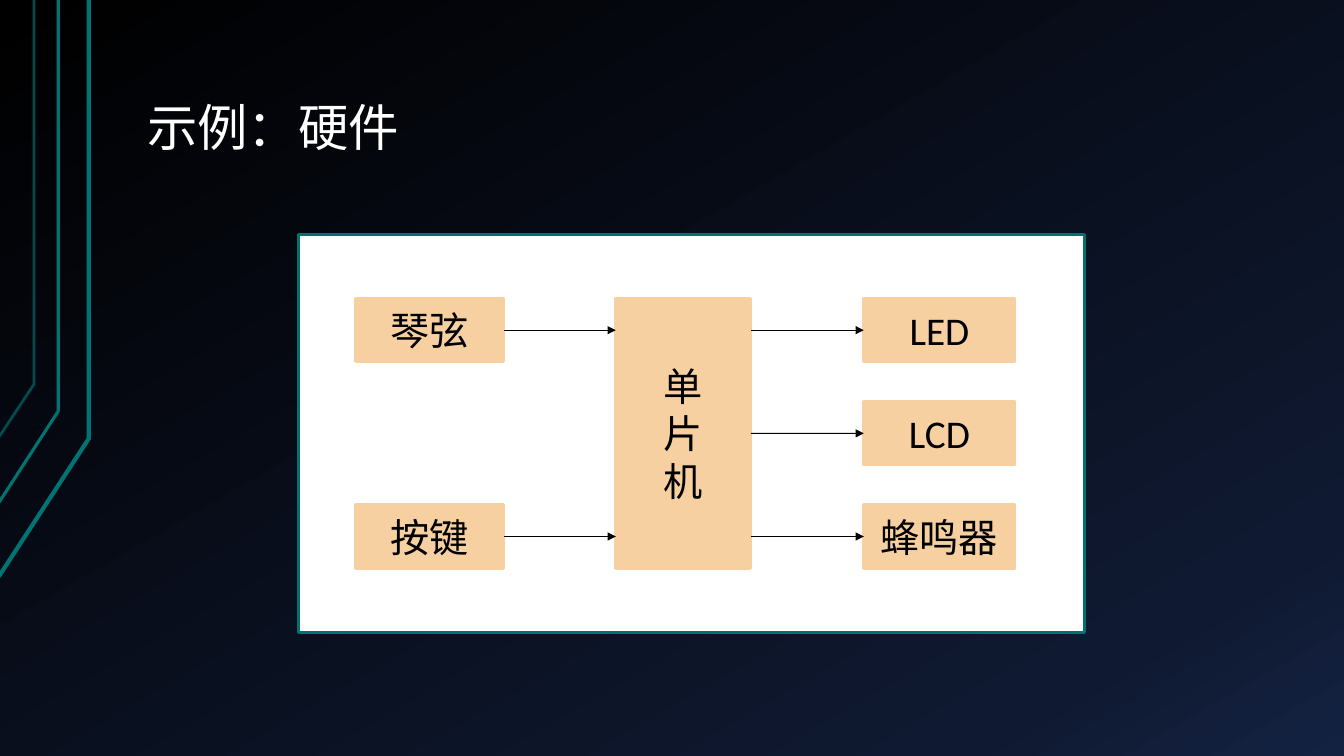
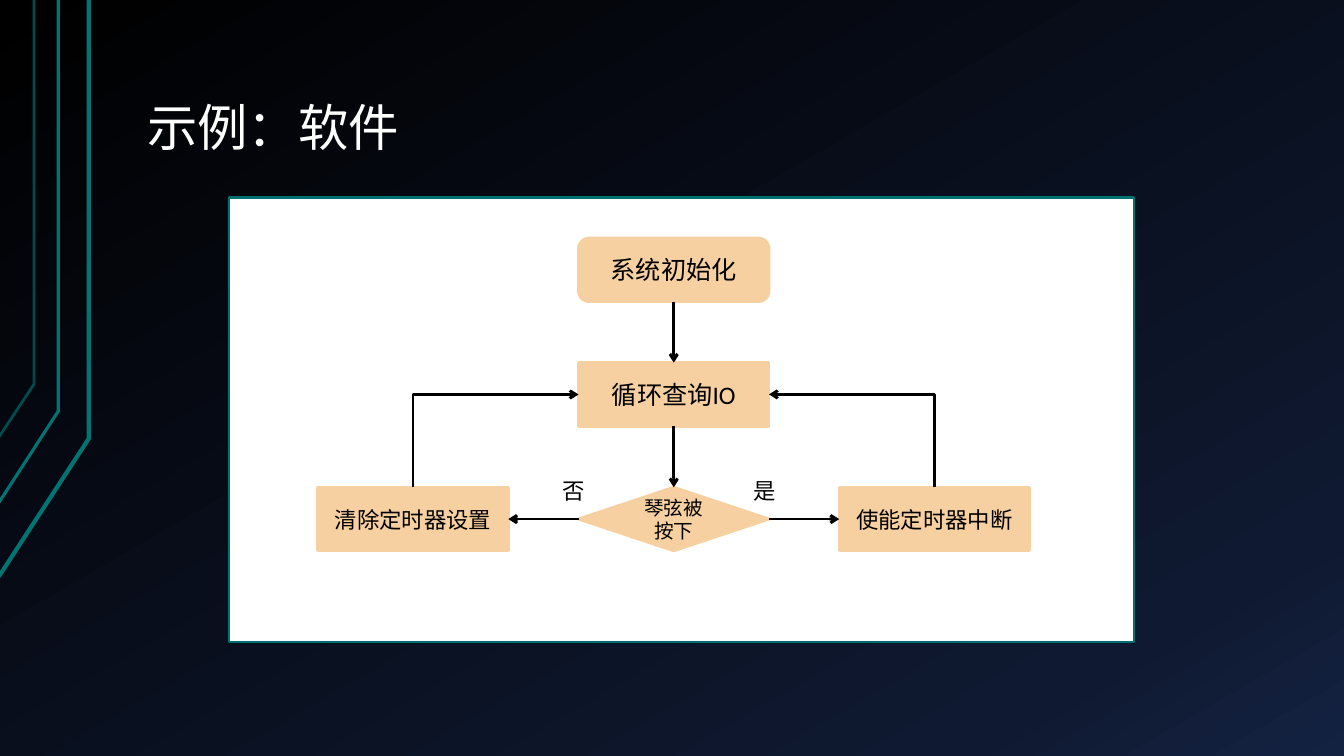
from copy import deepcopy

from lxml import etree
from pptx import Presentation
from pptx.dml.color import RGBColor
from pptx.enum.shapes import MSO_CONNECTOR, MSO_SHAPE
from pptx.enum.text import MSO_ANCHOR, PP_ALIGN
from pptx.oxml.ns import qn
from pptx.util import Cm, Pt

STRAIGHT, ELBOW = MSO_CONNECTOR.STRAIGHT, MSO_CONNECTOR.ELBOW
RECT, ROUNDED, DIAMOND = MSO_SHAPE.RECTANGLE, MSO_SHAPE.ROUNDED_RECTANGLE, MSO_SHAPE.DIAMOND
CENTER, LEFT_ALIGN = PP_ALIGN.CENTER, PP_ALIGN.LEFT
BOTTOM_ANCHOR, MIDDLE_ANCHOR, TOP_ANCHOR = MSO_ANCHOR.BOTTOM, MSO_ANCHOR.MIDDLE, MSO_ANCHOR.TOP
TOP, LEFT, BOTTOM, RIGHT = range(4)

COLORS = {
    "night": "000000",
    "navy": "0F1931",
    "blue": "142242",
    "rail": "007373",
    "dim_rail": "004B4B",
    "border": "007171",
    "panel": "FFFFFF",
    "node": "F7D0A1",
    "text": "000000",
    "title": "FFFFFF",
}
BODY_FONT = "Calibri"
TITLE_FONT = "Noto Sans CJK SC"
BACKGROUND_STOPS = [(0, "night"), (0.85, "navy"), (1, "blue")]
RAILS = [
    (2.24, 11.05, 14.53, 3, "rail"),
    (1.47, 10.36, 12.67, 2.25, "rail"),
    (0.86, 9.68, 11.02, 2, "dim_rail"),
]


def color(name):
    return RGBColor.from_string(COLORS[name])


def paint_background(slide):
    fill = slide.background.fill
    fill.gradient()
    fill.gradient_angle = 300
    first = fill.gradient_stops[0]._gs
    first.addnext(deepcopy(first))
    for stop, (position, name) in zip(fill.gradient_stops, BACKGROUND_STOPS):
        stop.position = position
        stop.color.rgb = color(name)


def draw_rails(slide):
    for x, bend, foot, width, name in RAILS:
        builder = slide.shapes.build_freeform(Cm(-0.03), Cm(foot))
        builder.add_line_segments([(Cm(x), Cm(bend)), (Cm(x), 0)], close=False)
        rail = builder.convert_to_shape()
        rail.shadow.inherit = False
        rail.fill.background()
        rail.line.color.rgb = color(name)
        rail.line.width = Pt(width)


def write(shape, text, size, font=BODY_FONT, name="text", align=CENTER, anchor=MIDDLE_ANCHOR):
    frame = shape.text_frame
    frame.word_wrap = True
    frame.vertical_anchor = anchor
    frame.text = text
    for paragraph in frame.paragraphs:
        paragraph.alignment = align
        paragraph.font.size = Pt(size)
        paragraph.font.name = font
        paragraph.font.color.rgb = color(name)


def add_title(slide, text):
    title = slide.shapes.add_textbox(Cm(3.38), Cm(0.76), Cm(28.78), Cm(3.4))
    write(title, text, 36, TITLE_FONT, "title", LEFT_ALIGN, BOTTOM_ANCHOR)
    frame = title.text_frame
    frame.margin_left = frame.margin_right = Cm(0.33)
    frame.margin_top = frame.margin_bottom = Cm(0.18)
    frame.paragraphs[0].line_spacing = 0.9


def add_block(slide, x, y, width, height, fill, line, preset=RECT):
    block = slide.shapes.add_shape(preset, Cm(x), Cm(y), Cm(width), Cm(height))
    block.shadow.inherit = False
    block.fill.solid()
    block.fill.fore_color.rgb = color(fill)
    block.line.color.rgb = color(line)
    block.line.width = Pt(2)
    return block


def add_node(slide, x, y, width, height, text, size, preset=RECT):
    node = add_block(slide, x, y, width, height, "node", "node", preset)
    write(node, text, size)
    return node


def add_arrow(slide, points, width, head, kind=STRAIGHT):
    arrow = slide.shapes.add_connector(kind, *points)
    arrow.line.color.rgb = color("text")
    arrow.line.width = Pt(width)
    etree.SubElement(arrow.line._get_or_add_ln(), qn("a:tailEnd"), type=head)
    etree.SubElement(arrow._element.spPr, qn("a:effectLst"))
    return arrow


def link(slide, source, source_side, target, target_side, kind=STRAIGHT):
    arrow = add_arrow(slide, (0, 0, 0, 0), 2, "arrow", kind)
    arrow.begin_connect(source, source_side)
    arrow.end_connect(target, target_side)
    return arrow


def link_up_and_across(slide, source, target, target_side):
    arrow = link(slide, source, TOP, target, target_side, ELBOW)
    across, rise = arrow.width, arrow.height
    shift = (across - rise) // 2
    arrow.left, arrow.top = arrow.left + shift, arrow.top - shift
    arrow.width, arrow.height = rise, across
    properties = arrow._element.spPr
    properties.find(qn("a:prstGeom")).set("prst", "bentConnector2")
    transform = properties.find(qn("a:xfrm"))
    transform.set("rot", "16200000")
    transform.set("flipH", "0")
    transform.set("flipV", "1" if target_side == RIGHT else "0")


def draw_hardware(slide, left, top, width, height):
    add_block(slide, left, top, width, height, "panel", "border")
    node_height, pitch, first_row = 1.6, 2.6, top + 1.6
    controller = add_node(slide, left + 8, first_row, 3.4, 2 * pitch + node_height, "单\n片\n机", 28)
    controller_right = controller.left + controller.width

    for row, text in ((0, "琴弦"), (2, "按键")):
        source = add_node(slide, left + 1.45, first_row + row * pitch, 3.73, node_height, text, 28)
        y = source.top + source.height // 2
        arrow = add_arrow(slide, (source.left + source.width, y, controller.left, y), 0.75, "triangle")
        arrow.begin_connect(source, RIGHT)

    for row, text in enumerate(("LED", "LCD", "蜂鸣器")):
        output = add_node(slide, left + 14.25, first_row + row * pitch, 3.81, node_height, text, 28)
        y = output.top + output.height // 2
        arrow = add_arrow(slide, (controller_right, y, output.left, y), 0.75, "triangle")
        arrow.end_connect(output, LEFT)
        if row == 1:
            arrow.begin_connect(controller, RIGHT)


def draw_software(slide, left, top, width, height):
    add_block(slide, left, top, width, height, "panel", "border")

    def step(column, row, text, size, preset=RECT):
        x, y = left + 2.24 + column * 6.57, top + 1.02 + row * 3.14
        return add_node(slide, x, y, 4.8, 1.6, text, size, preset)

    start = step(1, 0, "系统初始化", 18, ROUNDED)
    polling = step(1, 1, "循环查询IO", 18)
    pressed = step(1, 2, "琴弦被按下", 14, DIAMOND)
    enable = step(2, 2, "使能定时器中断", 16)
    clear = step(0, 2, "清除定时器设置", 16)

    link_up_and_across(slide, clear, polling, LEFT)
    link_up_and_across(slide, enable, polling, RIGHT)
    link(slide, pressed, LEFT, clear, RIGHT)
    link(slide, pressed, RIGHT, enable, LEFT)
    link(slide, start, BOTTOM, polling, TOP)
    link(slide, polling, BOTTOM, pressed, TOP)

    for x, label_width, text in ((12.98, 2.39, "是"), (8.15, 1.68, "否")):
        label = slide.shapes.add_textbox(Cm(left + x), Cm(top + 6.91), Cm(label_width), Cm(0.94))
        write(label, text, 16, align=LEFT_ALIGN, anchor=TOP_ANCHOR)


def add_slide(deck, title, draw, box):
    slide = deck.slides.add_slide(deck.slide_layouts[6])
    paint_background(slide)
    draw_rails(slide)
    add_title(slide, title)
    draw(slide, *box)


def main():
    deck = Presentation()
    deck.slide_width, deck.slide_height = Cm(33.87), Cm(19.05)
    add_slide(deck, "示例：硬件", draw_hardware, (7.52, 5.92, 19.81, 10.01))
    add_slide(deck, "示例：软件", draw_software, (5.77, 4.98, 22.81, 11.2))
    deck.save("out.pptx")


if __name__ == "__main__":
    main()
